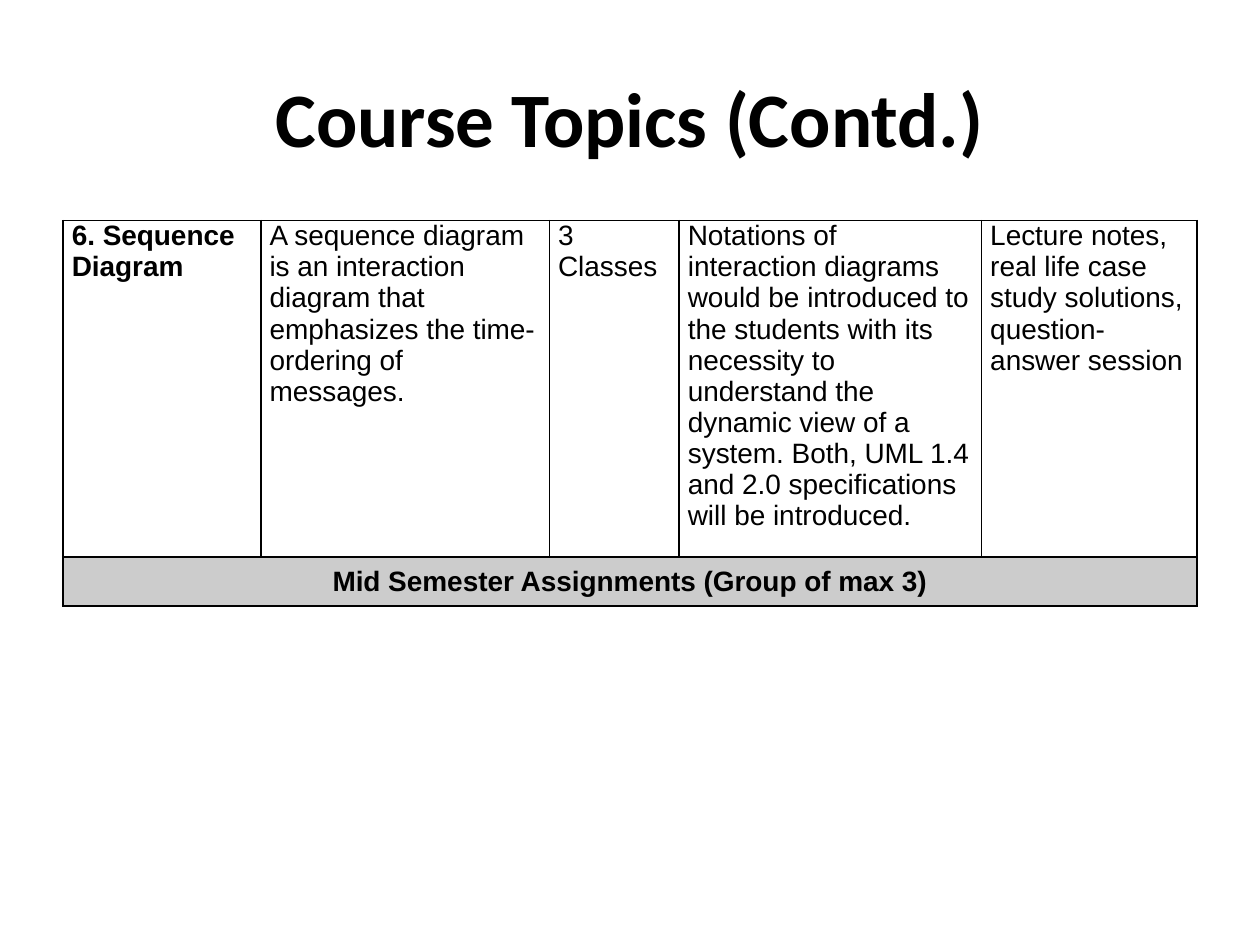
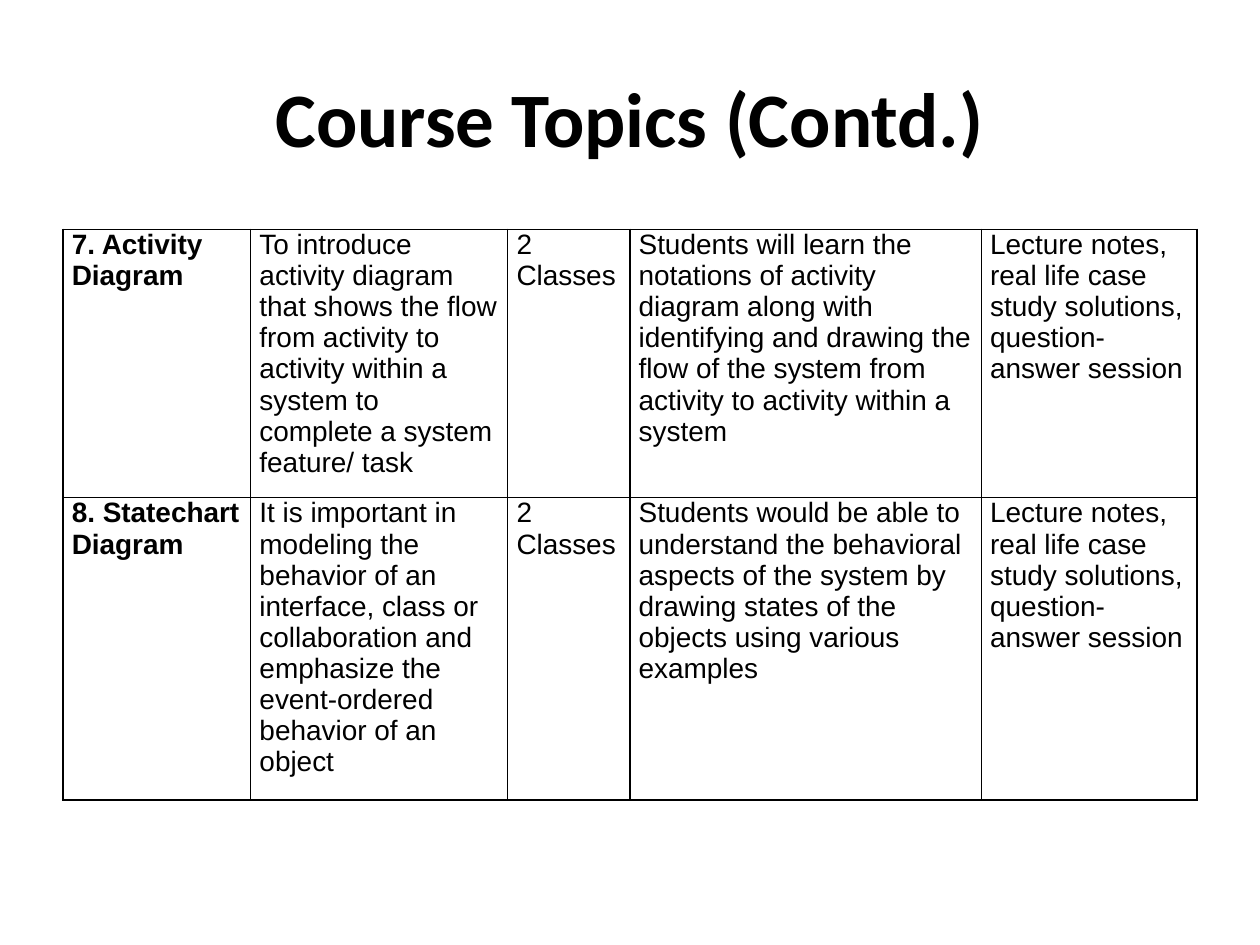
from dataclasses import dataclass

from lxml import etree
from pptx import Presentation
from pptx import util as u
from pptx.dml.color import RGBColor
from pptx.enum import text
from pptx.oxml.ns import qn


@dataclass(frozen=True)
class Theme:
    ink: str = "000000"
    band: str = "CCCCCC"
    title_font: str = "Calibri"
    body_font: str = "Arial"
    title_size: int = 44
    body_size: int = 16
    inner_line: float = 1
    outer_line: float = 1.5
    cell_inset: float = 0.07


THEME = Theme()
TITLE = "Course Topics (Contd.)"
TITLE_BOX = (0.5, 0.3, 9, 1.25)
METHODS = "Lecture notes, real life case study solutions, question-answer session"

# A row with a single entry is a band across the whole table.
SLIDES = [
    {
        "top": 1.75,
        "columns": [1.57, 2.29, 1.03, 2.4, 1.71],
        "heights": [2.67, 0.39],
        "topics": [
            ("6. Sequence Diagram",
             "A sequence diagram is an interaction diagram that emphasizes "
             "the time-ordering of messages.",
             "3 Classes",
             "Notations of interaction diagrams would be introduced to the "
             "students with its necessity to understand the dynamic view of a "
             "system. Both, UML 1.4 and 2.0 specifications will be introduced.",
             METHODS),
            ("Mid Semester Assignments (Group of max 3)",),
        ],
    },
    {
        "top": 1.82,
        "columns": [1.49, 2.04, 0.97, 2.79, 1.71],
        "heights": [2.13, 2.4],
        "topics": [
            ("7. Activity Diagram",
             "To introduce activity diagram that shows the flow from activity "
             "to activity within a system to complete a system feature/ task",
             "2 Classes",
             "Students will learn the notations of activity diagram along with "
             "identifying and drawing the flow of the system from activity to "
             "activity within a system",
             METHODS),
            ("8. Statechart Diagram",
             "It is important in modeling the behavior of an interface, class "
             "or collaboration and emphasize the event-ordered behavior of an "
             "object",
             "2 Classes",
             "Students would be able to understand the behavioral aspects of "
             "the system by drawing states of the objects using various "
             "examples",
             METHODS),
        ],
    },
]


def style_text(frame, font_name, size, bold, align):
    for paragraph in frame.paragraphs:
        paragraph.alignment = align
        for run in paragraph.runs:
            run.font.name = font_name
            run.font.size = u.Pt(size)
            run.font.bold = bold
            run.font.color.rgb = RGBColor.from_string(THEME.ink)


def add_title(slide):
    title = slide.shapes.title
    title.left, title.top, title.width, title.height = map(u.Inches, TITLE_BOX)
    title.text_frame.text = TITLE
    title.text_frame.vertical_anchor = text.MSO_ANCHOR.MIDDLE
    style_text(title.text_frame, THEME.title_font, THEME.title_size, True,
               text.PP_ALIGN.CENTER)


def draw_borders(cell, first, last):
    """Rule all four sides, heavier on the table's left and right edges."""
    outer, inner = THEME.outer_line, THEME.inner_line
    widths = {"a:lnL": outer if first else inner,
              "a:lnR": outer if last else inner,
              "a:lnT": inner, "a:lnB": inner}
    properties = cell._tc.get_or_add_tcPr()
    for side, width in widths.items():
        line = etree.SubElement(properties, qn(side), w=str(u.Pt(width)))
        fill = etree.SubElement(line, qn("a:solidFill"))
        etree.SubElement(fill, qn("a:srgbClr"), val=THEME.ink)


def format_cell(cell, is_band):
    cell.margin_left = cell.margin_right = u.Inches(THEME.cell_inset)
    cell.margin_top = cell.margin_bottom = 0
    if is_band:
        cell.fill.solid()
        cell.fill.fore_color.rgb = RGBColor.from_string(THEME.band)
        cell.vertical_anchor = text.MSO_ANCHOR.MIDDLE
    else:
        cell.fill.background()
        cell.vertical_anchor = text.MSO_ANCHOR.TOP


def add_topics(slide, content):
    columns, heights, topics = (content[k] for k in ("columns", "heights", "topics"))
    table = slide.shapes.add_table(
        len(topics), len(columns), u.Inches(TITLE_BOX[0]),
        u.Inches(content["top"]), u.Inches(sum(columns)),
        u.Inches(sum(heights))).table
    table.first_row = table.horz_banding = False
    for column, width in zip(table.columns, columns):
        column.width = u.Inches(width)
    last = len(columns) - 1
    for r, (topic, height) in enumerate(zip(topics, heights)):
        table.rows[r].height = u.Inches(height)
        is_band = len(topic) == 1
        if is_band:
            table.cell(r, 0).merge(table.cell(r, last))
        for c in range(len(columns)):
            cell = table.cell(r, c)
            draw_borders(cell, c == 0, c == last or is_band)
            format_cell(cell, is_band)
        align = text.PP_ALIGN.CENTER if is_band else text.PP_ALIGN.LEFT
        for c, wording in enumerate(topic):
            frame = table.cell(r, c).text_frame
            frame.text = wording
            style_text(frame, THEME.body_font, THEME.body_size, c == 0, align)


def main():
    deck = Presentation()
    deck.slide_width, deck.slide_height = u.Inches(10), u.Inches(7.5)
    title_only = deck.slide_layouts.get_by_name("Title Only")
    for content in SLIDES:
        slide = deck.slides.add_slide(title_only)
        add_title(slide)
        add_topics(slide, content)
    deck.save("out.pptx")


if __name__ == "__main__":
    main()
